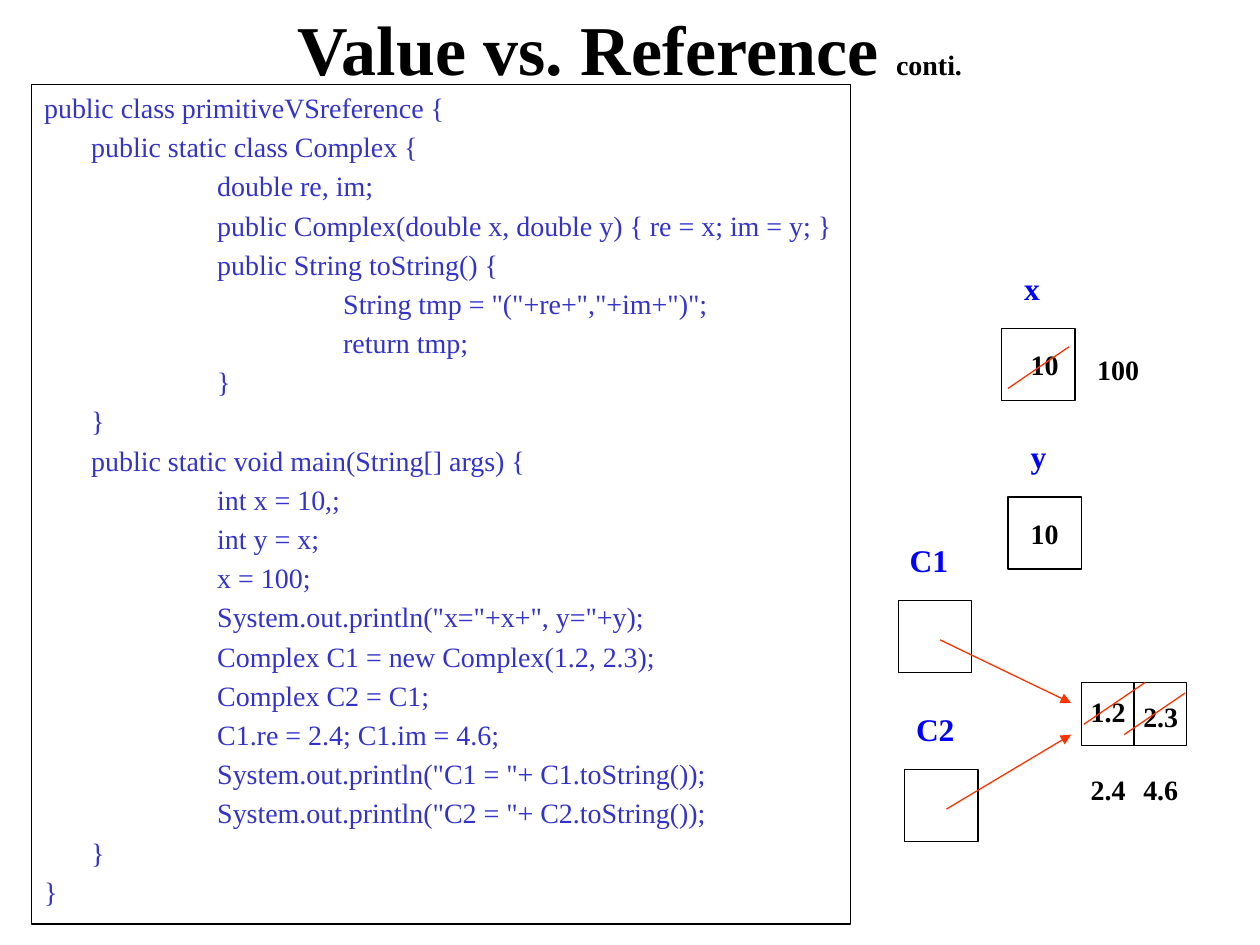
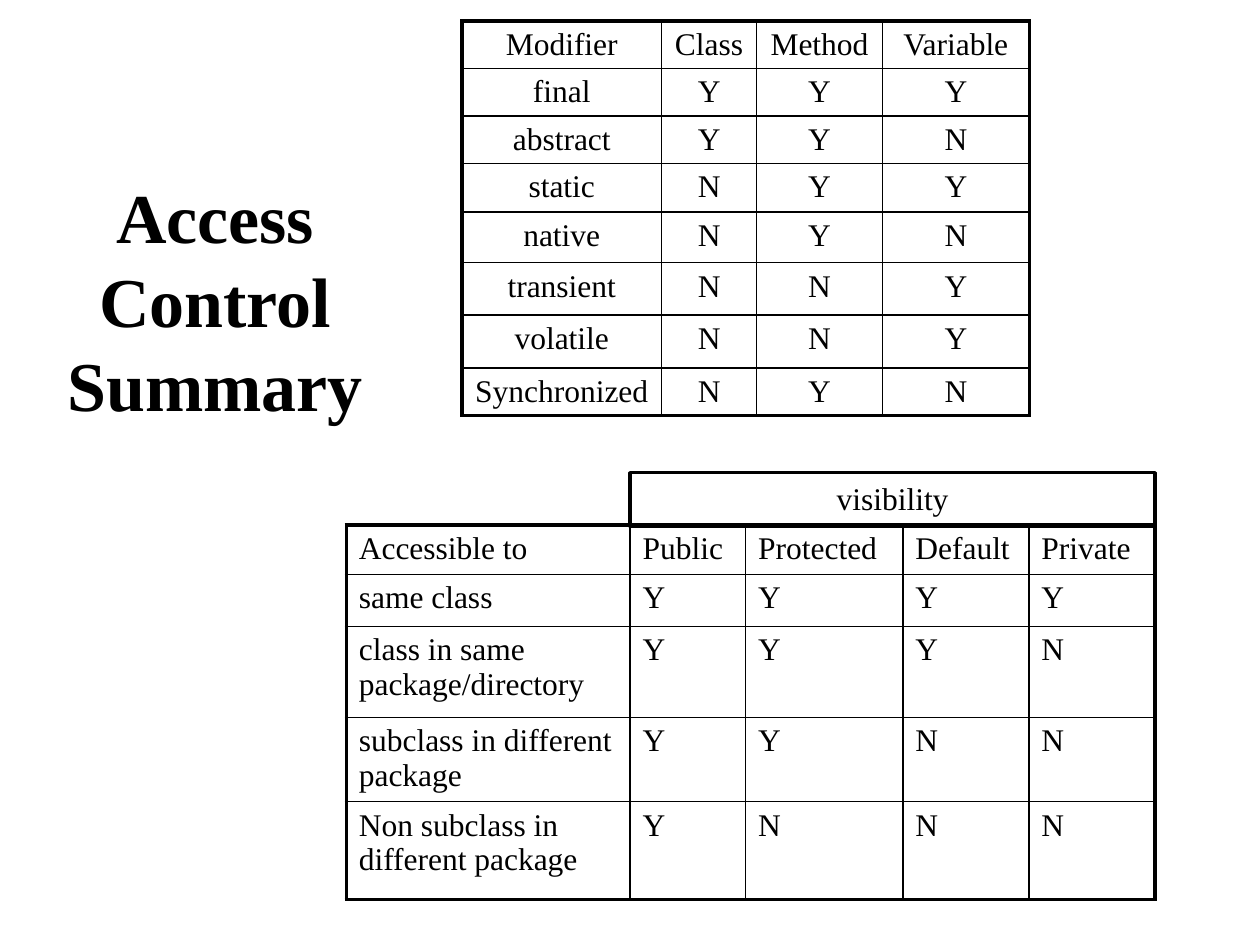
from itertools import product
from lxml.etree import SubElement
from pptx import Presentation
from pptx.dml.color import RGBColor
from pptx.enum.shapes import MSO_CONNECTOR, MSO_SHAPE
from pptx.enum.text import MSO_ANCHOR, MSO_AUTO_SIZE, PP_ALIGN
from pptx.oxml import parse_xml
from pptx.oxml.ns import nsdecls, qn
from pptx.util import Cm, Pt

BLACK = RGBColor(0, 0, 0)
CODE = RGBColor(0x33, 0x33, 0xCC)
NAME = RGBColor(0, 0, 0xFF)
RED = RGBColor(0xFF, 0x33, 0)
FONT = "Times New Roman"
LEAD = 1.2
THIN, THICK = 1, 2.25
SIDE, TALL = 1.48, 1.45

LINES = [
    (0, "public class primitiveVSreference {"),
    (1, "public static class Complex {"),
    (2, "double re, im;"),
    (2, "public Complex(double x, double y) { re = x; im = y; }"),
    (2, "public String toString() {"),
    (3, 'String tmp = "("+re+","+im+")";'),
    (3, "return tmp;"),
    (2, "}"),
    (1, "}"),
    (1, "public static void main(String[] args) {"),
    (2, "int x = 10,;"),
    (2, "int y = x;"),
    (2, "x = 100;"),
    (2, 'System.out.println("x="+x+", y="+y);'),
    (2, "Complex C1 = new Complex(1.2, 2.3);"),
    (2, "Complex C2 = C1;"),
    (2, "C1.re = 2.4; C1.im = 4.6;"),
    (2, 'System.out.println("C1 = "+ C1.toString());'),
    (2, 'System.out.println("C2 = "+ C2.toString());'),
    (1, "}"),
    (0, "}"),
]

USES = [
    ("Modifier", "Class", "Method", "Variable"),
    ("final", *"YYY"),
    ("abstract", *"YYN"),
    ("static", *"NYY"),
    ("native", *"NYN"),
    ("transient", *"NNY"),
    ("volatile", *"NNY"),
    ("Synchronized", *"NYN"),
]

ACCESS = [
    ("Accessible to", "Public", "Protected", "Default", "Private"),
    ("same class", *"YYYY"),
    ("class in same package/directory", *"YYYN"),
    ("subclass in different package", *"YYNN"),
    ("Non subclass in different package", *"YNNN"),
]


def add_run(para, text, size, color=BLACK, bold=False):
    run = para.add_run()
    run.text = text
    run.font.name = FONT
    run.font.size = Pt(size)
    run.font.bold = bold
    run.font.color.rgb = color


def set_para(para, size, align=PP_ALIGN.CENTER):
    para.alignment = align
    para.line_spacing = Pt(size * LEAD)


def add_title(slide, box):
    title = slide.shapes.title
    title.left, title.top, title.width, title.height = map(Cm, box)
    frame = title.text_frame
    frame.auto_size = MSO_AUTO_SIZE.NONE
    frame.word_wrap = True
    frame.vertical_anchor = MSO_ANCHOR.MIDDLE
    para = frame.paragraphs[0]
    set_para(para, 40)
    return para


def add_box(slide, left, top, width, height, weight=0.75):
    box = slide.shapes.add_shape(
        MSO_SHAPE.RECTANGLE, Cm(left), Cm(top), Cm(width), Cm(height))
    box.shadow.inherit = False
    box.fill.background()
    box.line.color.rgb = BLACK
    box.line.width = Pt(weight)
    frame = box.text_frame
    frame.word_wrap = True
    frame.vertical_anchor = MSO_ANCHOR.TOP
    return frame


def add_label(slide, left, top, text, width=SIDE, size=16, color=BLACK):
    label = slide.shapes.add_textbox(
        Cm(left), Cm(top), Cm(width), Cm(0.3 + size * 0.04))
    label.text_frame.word_wrap = False
    para = label.text_frame.paragraphs[0]
    set_para(para, size)
    add_run(para, text, size, color, True)


def add_line(slide, start, end, color=RED, arrow=False):
    line = slide.shapes.add_connector(
        MSO_CONNECTOR.STRAIGHT, *map(Cm, (*start, *end)))
    line.line.color.rgb = color
    line.line.width = Pt(0.75)
    if arrow:
        SubElement(line.line._get_or_add_ln(), qn("a:tailEnd"), type="triangle")
    SubElement(line._element.spPr, qn("a:effectLst"))


def add_strike(slide, left, base):
    add_line(slide, (left, base), (left + 1.23, base - 0.84))


def add_code(slide, left, top, width, height):
    frame = add_box(slide, left, top, width, height)
    for i, (level, text) in enumerate(LINES):
        para = frame.add_paragraph() if i else frame.paragraphs[0]
        props = para._p.get_or_add_pPr()
        props.set("marL", str(Cm(0.95)))
        props.set("indent", str(-Cm(0.95)))
        props.set("defTabSz", str(Cm(2.54)))
        set_para(para, 16, PP_ALIGN.LEFT)
        if i:
            para.space_before = Pt(3.2)
        add_run(para, "\t" * level + text, 16, CODE)


def add_var(slide, left, top, name, target=None):
    add_box(slide, left, top, SIDE, TALL)
    if target:
        add_line(slide, (left + 0.84, top + 0.79), target, arrow=True)
    width = 0.38 + 0.46 * len(name)
    add_label(slide, left + (1.23 - width) / 2, top - 1.33, name, width, 18, NAME)


def add_pair(slide, left, top):
    width, height = 2.12, 1.27
    mid = left + width / 2
    add_box(slide, left, top, width, height)
    add_line(slide, (mid, top), (mid, top + height), BLACK)
    for dx, dy, text in [(-0.2, 0.11, "1.2"), (0.86, 0.21, "2.3"),
                         (-0.2, 1.68, "2.4"), (0.86, 1.68, "4.6")]:
        add_label(slide, left + dx, top + dy, text)
    add_strike(slide, left + 0.05, top + 0.84)
    add_strike(slide, left + 0.86, top + 1.05)


def add_memory(slide, left, top):
    add_var(slide, left, top + 5.48, "C1", (left + 3.48, top + 7.54))
    add_var(slide, left + 0.13, top + 8.89, "C2", (left + 3.48, top + 8.18))
    add_pair(slide, left + 3.69, top + 7.13)
    add_var(slide, left + 2.08, top, "x")
    add_var(slide, left + 2.21, top + 3.39, "y")
    add_label(slide, left + 2.21, top + 0.26, "10")
    add_label(slide, left + 2.21, top + 3.66, "10")
    add_strike(slide, left + 2.21, top + 1.2)
    add_label(slide, left + 3.69, top + 0.36, "100")


def set_edges(cell, weights):
    props = cell._tc.get_or_add_tcPr()
    for i, (side, weight) in enumerate(zip("LRTB", weights)):
        props.insert(i, parse_xml(
            f'<a:ln{side} {nsdecls("a")} w="{Pt(weight)}"><a:solidFill>'
            f'<a:srgbClr val="{BLACK}"/></a:solidFill></a:ln{side}>'))


def add_grid(slide, left, top, data, widths, heights, align):
    rows, cols = len(heights), len(widths)
    table = slide.shapes.add_table(
        rows, cols, Cm(left), Cm(top), Cm(sum(widths)), Cm(sum(heights))).table
    table.first_row = table.horz_banding = False
    for col, width in zip(table.columns, widths):
        col.width = Cm(width)
    for row, height in zip(table.rows, heights):
        row.height = Cm(height)
    for r, c in product(range(rows), range(cols)):
        cell = table.cell(r, c)
        cell.fill.background()
        outer = (c == 0, c == cols - 1, r == 0, r == rows - 1)
        set_edges(cell, [THICK if edge else THIN for edge in outer])
        para = cell.text_frame.paragraphs[0]
        para.alignment = align
        add_run(para, data[r][c], 18)


def add_head(slide, left, top, width, height, text):
    para = add_box(slide, left, top, width, height, 2).paragraphs[0]
    set_para(para, 18)
    add_run(para, text, 18)


def make_value(slide):
    para = add_title(slide, (1.9, 0.22, 21.6, 1.48))
    add_run(para, "Value vs. Reference ", 40, bold=True)
    add_run(para, "conti.", 16, bold=True)
    add_code(slide, 0.64, 1.7, 16.51, 16.93)
    add_memory(slide, 18.11, 6.63)


def make_access(slide):
    para = add_title(slide, (1.06, 3.81, 6.56, 4.45))
    add_run(para, "Access Control", 40, bold=True)
    para.add_line_break()
    add_run(para, "Summary", 40, bold=True)
    add_grid(slide, 9.31, 0.42, USES, (4.03, 1.91, 2.54, 2.96),
             (0.84, 0.89, 0.94, 0.98, 1.02, 1.06, 1.06, 0.56), PP_ALIGN.CENTER)
    add_grid(slide, 6.98, 10.58, ACCESS, (5.72, 2.33, 3.17, 2.54, 2.54),
             (1, 1.05, 1.83, 1.7, 1.97), PP_ALIGN.LEFT)
    add_head(slide, 12.7, 9.53, 10.59, 1.08, "visibility")


def main():
    deck = Presentation()
    deck.slide_width, deck.slide_height = Cm(25.4), Cm(19.05)
    for make in (make_value, make_access):
        make(deck.slides.add_slide(deck.slide_layouts[5]))
    deck.save("out.pptx")


if __name__ == "__main__":
    main()
